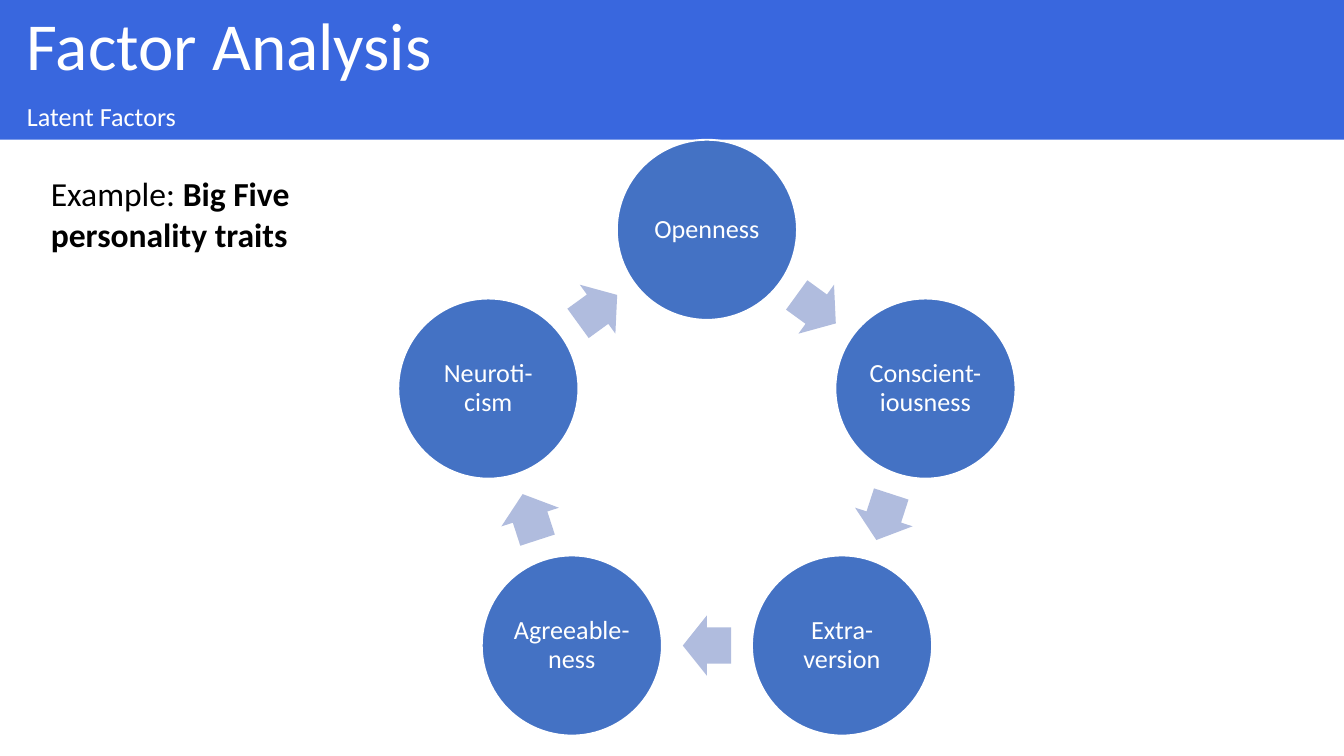
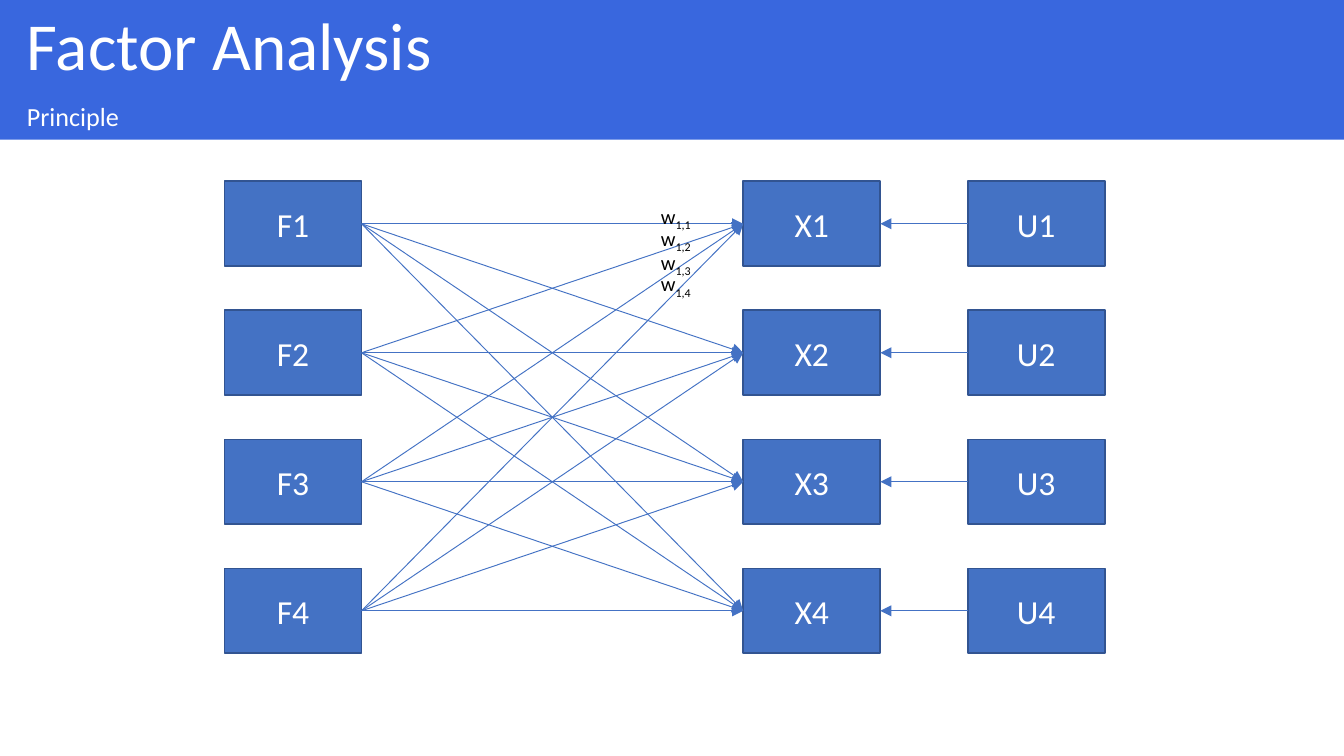
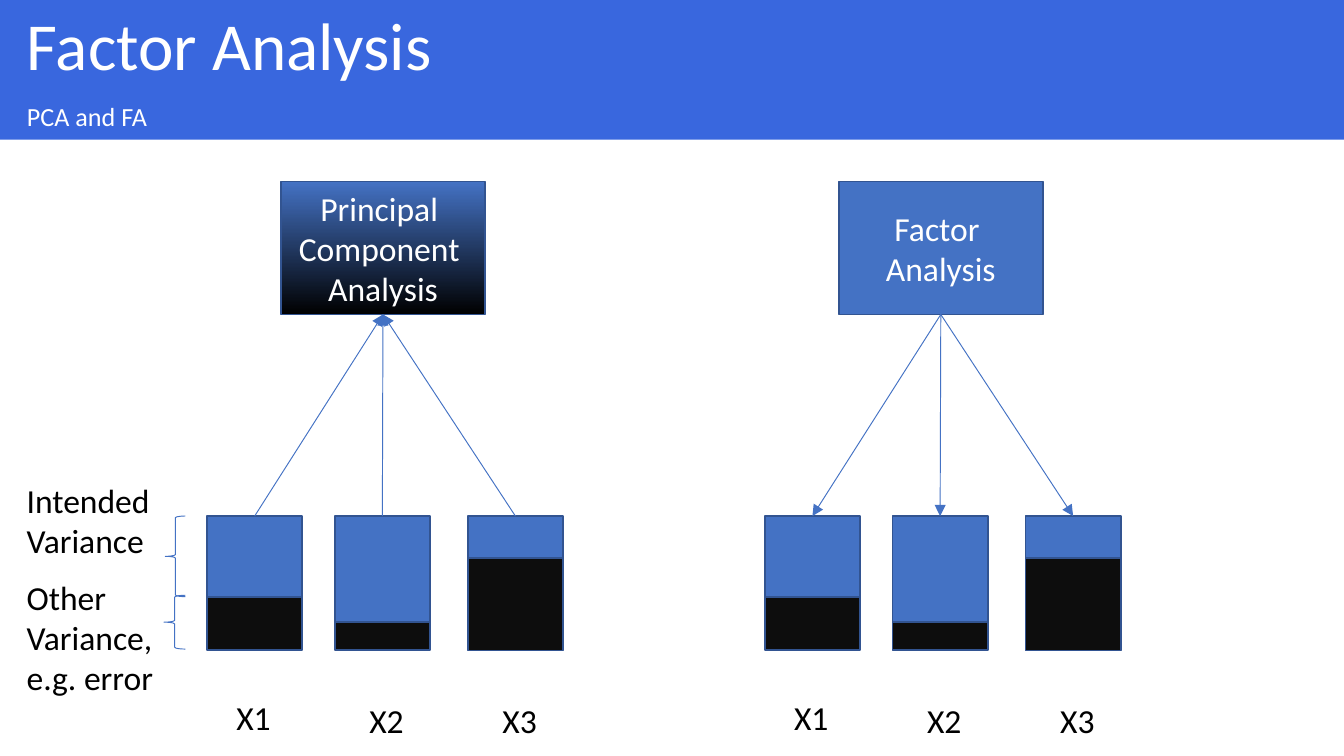
from math import cos, pi, sin

from lxml import etree
from pptx import Presentation
from pptx.dml.color import RGBColor
from pptx.enum.shapes import MSO_CONNECTOR, MSO_SHAPE
from pptx.enum.text import MSO_ANCHOR, MSO_AUTO_SIZE, PP_ALIGN
from pptx.oxml.ns import qn
from pptx.util import Inches, Pt

RECTANGLE, ELLIPSE = MSO_SHAPE.RECTANGLE, MSO_SHAPE.OVAL
RIGHT_ARROW, LEFT_BRACE = MSO_SHAPE.RIGHT_ARROW, MSO_SHAPE.LEFT_BRACE
STRAIGHT = MSO_CONNECTOR.STRAIGHT
LEFT, CENTER = PP_ALIGN.LEFT, PP_ALIGN.CENTER
TOP, MIDDLE = MSO_ANCHOR.TOP, MSO_ANCHOR.MIDDLE
FIT_TEXT = MSO_AUTO_SIZE.SHAPE_TO_FIT_TEXT
TOP_SITE, LEFT_SITE, BOTTOM_SITE, RIGHT_SITE = range(4)

SLIDE_WIDTH = 10
SLIDE_HEIGHT = SLIDE_WIDTH * 9 / 16
FONT = "Calibri"
COLORS = {
    "band": "3967DE",
    "box": "4472C4",
    "edge": "325491",
    "arrow": "B0BCDE",
    "error": "0D0D0D",
    "black": "000000",
    "white": "FFFFFF",
}

TITLE = "Factor Analysis"

TRAITS = ["Openness", "Conscient-iousness", "Extra-version", "Agreeable-ness", "Neuroti-cism"]
TRAITS_HEADING = [["Example: ", ("Big Five", {"bold": True})],
                  [("personality traits", {"bold": True})]]
CYCLE_CENTER = (5.26, 3.42)
CYCLE_RADIUS = 1.71
CIRCLE_SIZE = 1.34
ARROW_SIZE = (0.36, 0.45)

NODE_COLUMNS = {"F": 1.67, "X": 5.53, "U": 7.2}
NODE_COUNT = 4
NODE_TOP, NODE_PITCH = 1.35, 0.96
NODE_SIZE = (1.02, 0.63)
WEIGHT_TOPS = [1.47, 1.63, 1.81, 1.97]

METHODS = [
    {"left": 1.54, "name": ["Principal ", "Component ", "Analysis"], "gradient": True, "inward": True},
    {"left": 5.69, "name": ["Factor ", "Analysis"], "gradient": False, "inward": False},
]
METHOD_OFFSET, METHOD_TOP = 0.55, 1.35
METHOD_SIZE = (1.52, 0.99)
VARIABLES = [
    {"name": "X1", "offset": 0, "intended": 0.6, "other": 0.4, "label": (0.12, 5.14)},
    {"name": "X2", "offset": 0.95, "intended": 0.79, "other": 0.4, "label": (1.11, 5.16)},
    {"name": "X3", "offset": 1.94, "intended": 0.31, "other": 0.69, "label": (2.1, 5.16)},
]
BAR_TOP, BAR_BOTTOM, BAR_WIDTH = 3.84, 4.84, 0.71
VARIANCES = [
    (["Intended", "Variance"], (0.1, 3.52, 1.13, 0.71), False, (1.23, 3.84, 0.15, 0.6)),
    (["Other", "Variance,", "e.g. error"], (0.1, 4.24, 1.28, 1.01), True, (1.22, 4.43, 0.16, 0.4)),
]


def color(name):
    return RGBColor.from_string(COLORS[name])


def write_text(shape, paragraphs, size=18, ink="black", align=LEFT, anchor=TOP,
               margins=(0.1, 0.05, 0.1, 0.05), wrap=True, spacing=None, before=None):
    frame = shape.text_frame
    frame.word_wrap = wrap
    frame.vertical_anchor = anchor
    frame.margin_left, frame.margin_top, frame.margin_right, frame.margin_bottom = map(Inches, margins)
    for index, runs in enumerate(paragraphs):
        paragraph = frame.add_paragraph() if index else frame.paragraphs[0]
        paragraph.alignment = align
        if spacing:
            paragraph.line_spacing = spacing
        if before:
            paragraph.space_before = Pt(before)
        for part in [runs] if isinstance(runs, str) else runs:
            text, style = (part, {}) if isinstance(part, str) else part
            run = paragraph.add_run()
            run.text = text
            run.font.name = FONT
            run.font.size = Pt(size)
            run.font.color.rgb = color(ink)
            run.font.bold = style.get("bold")
            if "baseline" in style:
                run._r.get_or_add_rPr().set("baseline", str(style["baseline"]))


def add_label(slide, box, paragraphs, **text_format):
    label = slide.shapes.add_textbox(*map(Inches, box))
    write_text(label, paragraphs, **text_format)
    label.text_frame.auto_size = FIT_TEXT


def add_box(slide, box, kind=RECTANGLE, fill="box", edge="edge", width=1):
    shape = slide.shapes.add_shape(kind, *map(Inches, box))
    shape.shadow.inherit = False
    if fill:
        shape.fill.solid()
        shape.fill.fore_color.rgb = color(fill)
    else:
        shape.fill.background()
    if edge:
        shape.line.color.rgb = color(edge)
        shape.line.width = Pt(width)
    else:
        shape.line.fill.background()
    return shape


def connect(slide, start, start_site, end, end_site):
    connector = slide.shapes.add_connector(STRAIGHT, 0, 0, 0, 0)
    connector.begin_connect(start, start_site)
    connector.end_connect(end, end_site)
    connector.line.color.rgb = color("box")
    connector.line.width = Pt(0.5)
    etree.SubElement(connector.line._get_or_add_ln(), qn("a:tailEnd"), type="triangle")
    etree.SubElement(connector._element.spPr, qn("a:effectLst"))


def add_slide(presentation, subtitle):
    slide = presentation.slides.add_slide(presentation.slide_layouts[6])
    for text, top, height, size in [(TITLE, 0, 0.73, 36), (subtitle, 0.72, 0.32, 14)]:
        band = add_box(slide, (0, top, SLIDE_WIDTH, height), fill="band", edge=None)
        write_text(band, [text], size=size, ink="white", anchor=MIDDLE,
                   margins=(0.2, 0.05, 0.1, 0.05), spacing=0.9, before=10)
    return slide


def centered_on_cycle(angle, radius, width, height):
    x, y = CYCLE_CENTER
    return (x + radius * sin(angle) - width / 2, y - radius * cos(angle) - height / 2, width, height)


def build_traits(presentation):
    slide = add_slide(presentation, "Latent Factors")
    step = 2 * pi / len(TRAITS)
    for index, trait in enumerate(TRAITS):
        circle_box = centered_on_cycle(index * step, CYCLE_RADIUS, CIRCLE_SIZE, CIRCLE_SIZE)
        circle = add_box(slide, circle_box, kind=ELLIPSE, edge="white")
        write_text(circle, [trait], size=14, ink="white", align=CENTER, anchor=MIDDLE,
                   margins=(0.02,) * 4, spacing=0.9)
        arrow_box = centered_on_cycle((index + 0.5) * step, CYCLE_RADIUS * cos(step / 2), *ARROW_SIZE)
        arrow = add_box(slide, arrow_box, kind=RIGHT_ARROW, fill="arrow", edge=None)
        arrow.adjustments[0], arrow.adjustments[1] = 0.6, 0.5
        arrow.rotation = (index + 0.5) * 360 / len(TRAITS)
    add_label(slide, (0.28, 1.24, 3.39, 0.71), TRAITS_HEADING)


def build_principle(presentation):
    slide = add_slide(presentation, "Principle")
    nodes = {}
    for letter, left in NODE_COLUMNS.items():
        nodes[letter] = []
        for row in range(NODE_COUNT):
            node = add_box(slide, (left, NODE_TOP + row * NODE_PITCH, *NODE_SIZE))
            write_text(node, [f"{letter}{row + 1}"], ink="white", align=CENTER, anchor=MIDDLE)
            nodes[letter].append(node)
    for factor in nodes["F"]:
        for variable in nodes["X"]:
            connect(slide, factor, RIGHT_SITE, variable, LEFT_SITE)
    for unique, variable in zip(nodes["U"], nodes["X"]):
        connect(slide, unique, LEFT_SITE, variable, RIGHT_SITE)
    for number, top in enumerate(WEIGHT_TOPS, start=1):
        weight = ["w", (f"1,{number}", {"baseline": -25000})]
        add_label(slide, (4.82, top, 0.44, 0.29), [weight], size=11, wrap=False)


def build_comparison(presentation):
    slide = add_slide(presentation, "PCA and FA")
    for method in METHODS:
        left = method["left"]
        header = add_box(slide, (left + METHOD_OFFSET, METHOD_TOP, *METHOD_SIZE))
        if method["gradient"]:
            header.fill.gradient()
            header.fill.gradient_angle = 270
            for stop, name in zip(header.fill.gradient_stops, ["box", "black"]):
                stop.color.rgb = color(name)
        write_text(header, method["name"], ink="white", align=CENTER, anchor=MIDDLE)
        for variable in VARIABLES:
            bar_left, other = left + variable["offset"], variable["other"]
            add_box(slide, (bar_left, BAR_BOTTOM - other, BAR_WIDTH, other), fill="error")
            intended = add_box(slide, (bar_left, BAR_TOP, BAR_WIDTH, variable["intended"]))
            label_offset, label_top = variable["label"]
            add_label(slide, (left + label_offset, label_top, 0.46, 0.4), [variable["name"]], wrap=False)
            if method["inward"]:
                connect(slide, intended, TOP_SITE, header, BOTTOM_SITE)
            else:
                connect(slide, header, BOTTOM_SITE, intended, TOP_SITE)
    for lines, label_box, wrap, brace_box in VARIANCES:
        add_label(slide, label_box, lines, wrap=wrap)
        add_box(slide, brace_box, kind=LEFT_BRACE, fill=None, edge="box", width=0.5)


def main():
    presentation = Presentation()
    presentation.slide_width = Inches(SLIDE_WIDTH)
    presentation.slide_height = Inches(SLIDE_HEIGHT)
    build_traits(presentation)
    build_principle(presentation)
    build_comparison(presentation)
    presentation.save("out.pptx")


if __name__ == "__main__":
    main()
